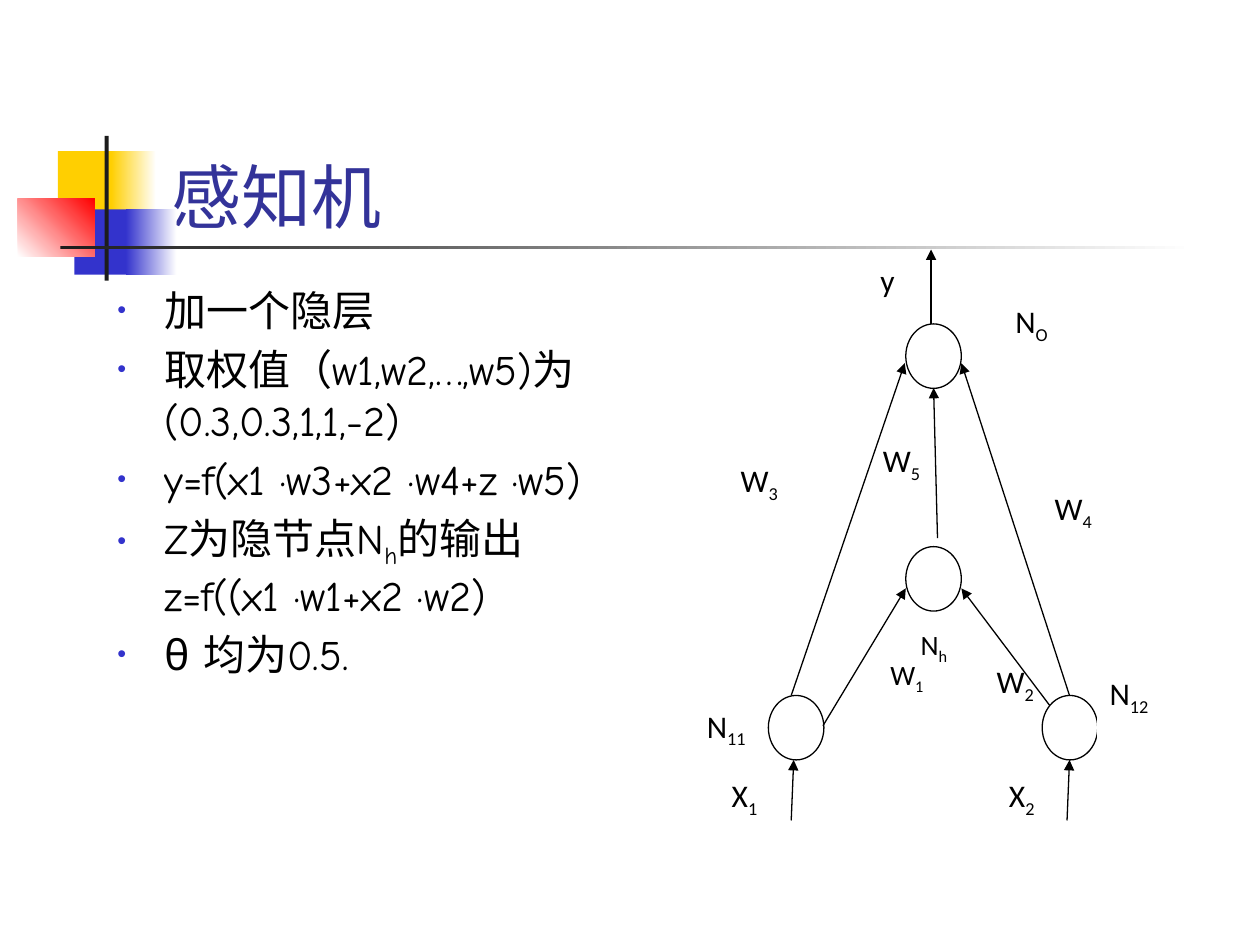
from lxml.etree import SubElement as Sub
from pptx import Presentation
from pptx.dml.color import RGBColor
from pptx.enum.shapes import MSO_CONNECTOR as Link, MSO_SHAPE as Form
from pptx.enum.text import MSO_ANCHOR as Anchor, MSO_AUTO_SIZE as Fit, PP_ALIGN as Align
from pptx.oxml.ns import qn
from pptx.util import Cm, Pt


def tint(code):
    return RGBColor.from_string(code)


class Deck:
    ink, blue, white = "000000", "3333CC", "FFFFFF"
    sans, comic, han = "Calibri", "Comic Neue", "Noto Sans CJK SC"

    def __init__(self):
        self.file = Presentation()
        self.file.slide_width, self.file.slide_height = Cm(25.4), Cm(19.05)
        self.slide = self.file.slides.add_slide(self.file.slide_layouts[1])

    def style(self, para, face, size, color):
        para.font.name, para.font.size = face, Pt(size)
        para.font.color.rgb = tint(color)

    def words(self, para, text):
        for row, line in enumerate(text.split("\n")):
            if row:
                para.add_line_break()
            for i, part in enumerate(line.split("_")):
                run = para.add_run()
                run.text = part
                if i % 2:
                    run._r.get_or_add_rPr().set("baseline", "-25000")

    def place(self, shape, box):
        shape.left, shape.top, shape.width, shape.height = map(Cm, box)

    def title(self, text, box):
        shape = self.slide.shapes.title
        self.place(shape, box)
        frame = shape.text_frame
        frame.auto_size, frame.vertical_anchor = Fit.NONE, Anchor.BOTTOM
        para = frame.paragraphs[0]
        para.alignment = Align.LEFT
        self.words(para, text)
        self.style(para, self.han, 40, "333399")

    def body(self, items, box):
        shape = self.slide.placeholders[1]
        self.place(shape, box)
        frame = shape.text_frame
        frame.auto_size = Fit.NONE
        for i, text in enumerate(items):
            para = frame.add_paragraph() if i else frame.paragraphs[0]
            para.space_before = Pt(5 if i else 0)
            props = para._p.get_or_add_pPr()
            props.set("marL", str(Cm(0.95)))
            props.set("indent", str(Cm(-0.95)))
            Sub(Sub(props, qn("a:buClr")), qn("a:srgbClr"), val=self.blue)
            Sub(props, qn("a:buSzPct"), val="60000")
            Sub(props, qn("a:buChar"), char="•")
            self.style(para, self.comic, 24, self.ink)
            self.words(para, text)

    def shape(self, form, box, fill, line=None):
        shape = self.slide.shapes.add_shape(form, *map(Cm, box))
        shape.shadow.inherit = False
        shape.fill.solid()
        shape.fill.fore_color.rgb = tint(fill)
        if line:
            shape.line.color.rgb, shape.line.width = tint(line), Pt(0.75)
        else:
            shape.line.fill.background()
        return shape

    def fade(self, box, start, end, angle=0):
        fill = self.shape(Form.RECTANGLE, box, start).fill
        fill.gradient()
        fill.gradient_angle = angle
        for stop, code, spot in zip(fill.gradient_stops, (start, end), (0, 1)):
            stop.color.rgb, stop.position = tint(code), spot

    def label(self, text, box, size=18):
        frame = self.shape(Form.RECTANGLE, box, self.white).text_frame
        frame.word_wrap, frame.vertical_anchor = True, Anchor.TOP
        para = frame.paragraphs[0]
        para.alignment = Align.JUSTIFY
        self.style(para, self.sans, size, self.ink)
        self.words(para, text)

    def node(self, left, top):
        self.shape(Form.OVAL, (left, top, 1.12, 1.3), self.white, self.ink)

    def arrow(self, *ends):
        line = self.slide.shapes.add_connector(Link.STRAIGHT, *map(Cm, ends))
        line.line.color.rgb, line.line.width = tint(self.ink), Pt(0.75)
        Sub(line.line._get_or_add_ln(), qn("a:tailEnd"), type="triangle")
        Sub(line._element.spPr, qn("a:effectLst"))


def main():
    deck = Deck()
    gold, red, dark = "FFCF01", "FF0000", "1C1C1C"
    deck.shape(Form.RECTANGLE, (1.17, 3.05, 1.22, 1.32), gold)
    deck.fade((2.24, 3.05, 0.91, 1.32), gold, deck.white)
    deck.shape(Form.RECTANGLE, (1.5, 4.22, 1.17, 1.32), deck.blue)
    deck.fade((2.54, 4.22, 1.02, 1.32), deck.blue, deck.white)
    deck.fade((0.36, 4.01, 1.55, 1.17), deck.white, red, 45)
    deck.shape(Form.RECTANGLE, (2.11, 2.74, 0.08, 2.92), dark)
    deck.fade((1.22, 4.95, 22.86, 0.08), dark, deck.white)

    deck.title("感知机", (3.2, 1.73, 21.64, 3.18))
    deck.body([
        "加一个隐层",
        "取权值（w1,w2,…,w5)为(0.3,0.3,1,1,-2)",
        "y=f(x1 ·w3+x2 ·w4+z ·w5)",
        "Z为隐节点N_h_的输出\nz=f((x1 ·w1+x2 ·w2)",
        "θ 均为0.5.",
    ], (2.11, 5.61, 11.76, 11.43))

    deck.label("W_1", (17.7, 13.13, 1.4, 0.81), 16)
    deck.label("W_2", (19.84, 13.23, 1.85, 1.35))
    deck.label("W_5", (17.55, 8.76, 2.11, 1.85))

    for spot in (18.26, 11.02), (15.49, 14.02), (21.01, 14.02), (18.26, 6.53):
        deck.node(*spot)
    for ends in (
        (15.95, 16.54, 16, 15.32),
        (21.51, 16.54, 21.56, 15.32),
        (16.59, 14.63, 18.26, 11.86),
        (21.16, 14.22, 19.38, 11.86),
        (15.95, 14.02, 18.24, 7.32),
        (21.56, 14.02, 19.38, 7.32),
        (18.77, 6.53, 18.77, 5.03),
        (18.9, 10.85, 18.82, 7.82),
    ):
        deck.arrow(*ends)

    for text, box in (
        ("y", (17.5, 5.13, 1.09, 1.19)),
        ("X_1", (14.5, 15.52, 1.3, 0.99)),
        ("X_2", (20.09, 15.52, 1.32, 1.4)),
        ("N_11", (14, 14.12, 1.4, 1.04)),
        ("N_12", (22.12, 13.46, 2.18, 1.85)),
        ("N_O", (20.22, 5.97, 2.18, 1.85)),
        ("W_3", (14.68, 9.17, 2.11, 1.85)),
        ("W_4", (21.01, 9.73, 2.11, 1.85)),
    ):
        deck.label(text, box)
    deck.label("N_h", (18.31, 12.52, 1.55, 0.79), 16)
    deck.file.save("out.pptx")


if __name__ == "__main__":
    main()
